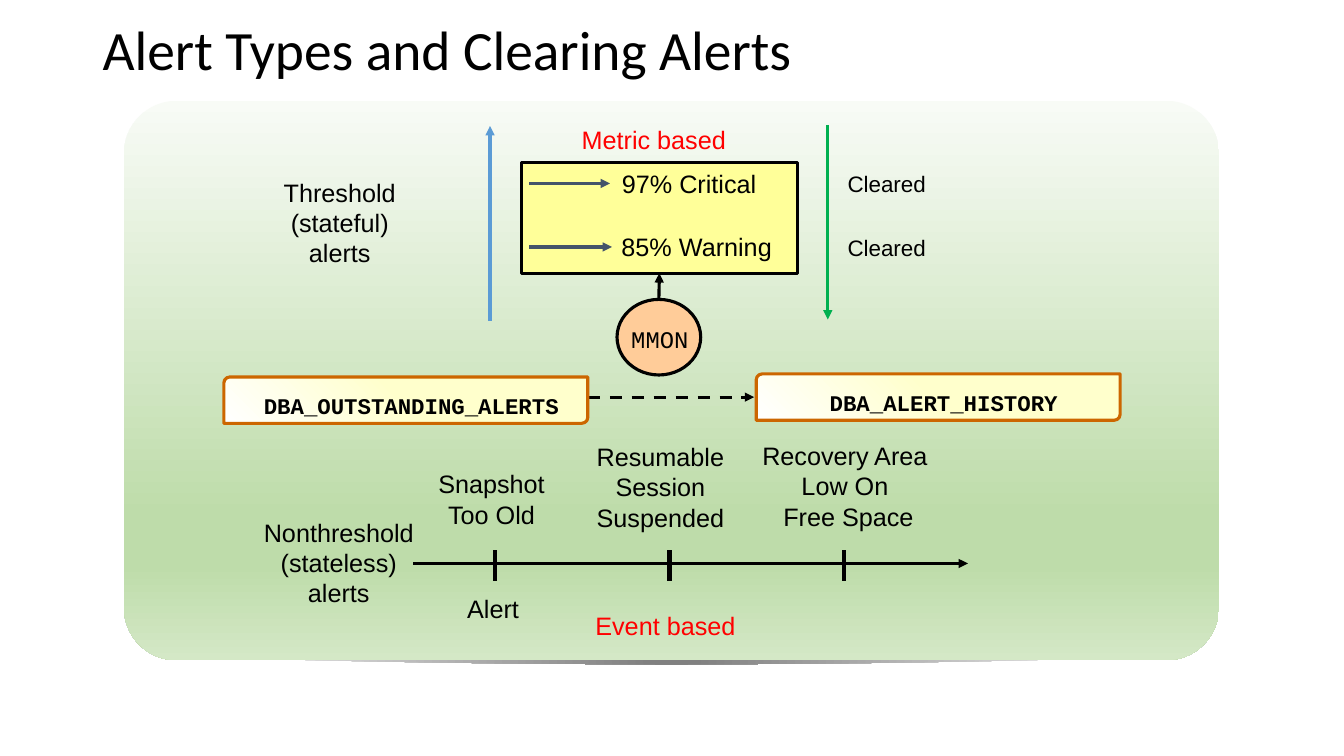
from lxml.etree import SubElement
from pptx import Presentation
from pptx.dml.color import RGBColor
from pptx.enum.dml import MSO_LINE
from pptx.enum.shapes import MSO_CONNECTOR, MSO_SHAPE
from pptx.enum.text import MSO_ANCHOR, PP_ALIGN
from pptx.oxml import parse_xml
from pptx.oxml.ns import nsdecls, qn
from pptx.util import Inches, Pt

BLACK = RGBColor(0x00, 0x00, 0x00)
WHITE = RGBColor(0xFF, 0xFF, 0xFF)
GRAY = RGBColor(0x80, 0x80, 0x80)
RED = RGBColor(0xFF, 0x00, 0x00)
GREEN = RGBColor(0x00, 0xB0, 0x50)
BLUE = RGBColor(0x5B, 0x9B, 0xD5)
SLATE = RGBColor(0x44, 0x54, 0x6A)
YELLOW = RGBColor(0xFF, 0xFF, 0x99)
CREAM = RGBColor(0xFF, 0xFF, 0xCC)
PEACH = RGBColor(0xFF, 0xCC, 0x99)
BROWN = RGBColor(0xCC, 0x66, 0x00)
MINT = RGBColor(0xF8, 0xFB, 0xF6)
LEAF = RGBColor(0xBE, 0xDC, 0xAA)
PALE_LEAF = RGBColor(0xD4, 0xE8, 0xC6)

LINEAR = '<a:lin ang="{}" scaled="0"/>'
CIRCLE = '<a:path path="circle"><a:fillToRect l="50000" t="50000" r="50000" b="50000"/></a:path>'


def write_text(shape, text, size=18, font="Arial", color=BLACK, bold=False,
               align=PP_ALIGN.CENTER, anchor=MSO_ANCHOR.TOP, wrap=True,
               insets=(0.1, 0.05, 0.1, 0.05), line_spacing=None):
    frame = shape.text_frame
    frame.word_wrap = wrap
    frame.vertical_anchor = anchor
    (frame.margin_left, frame.margin_top,
     frame.margin_right, frame.margin_bottom) = map(Inches, insets)
    paragraph = frame.paragraphs[0]
    paragraph.text = text
    paragraph.alignment = align
    paragraph.line_spacing = line_spacing
    for run in paragraph.runs:
        run.font.size = Pt(size)
        run.font.name = font
        run.font.bold = bold
        run.font.color.rgb = color


class AlertSlide:
    def __init__(self, slide, line_width=2.25):
        self.slide = slide
        self.shapes = slide.shapes
        self.line_width = line_width

    def finish(self, shape, fill=None, stops=None, direction=None, line=None):
        """Fill with one colour or with gradient stops, and set the outline."""
        shape.shadow.inherit = False
        if stops:
            marks = "".join(
                f'<a:gs pos="{position * 1000}"><a:srgbClr val="{color}"/></a:gs>'
                for position, color in stops)
            shape.fill.background()
            plain = shape._element.spPr.find(qn("a:noFill"))
            gradient = parse_xml(f'<a:gradFill {nsdecls("a")} rotWithShape="1">'
                                 f'<a:gsLst>{marks}</a:gsLst>{direction}</a:gradFill>')
            plain.getparent().replace(plain, gradient)
        else:
            shape.fill.solid()
            shape.fill.fore_color.rgb = fill
        if line is None:
            shape.line.fill.background()
        else:
            shape.line.color.rgb = line
            shape.line.width = Pt(self.line_width)
        return shape

    def shape(self, kind, box, adjustments=(), **style):
        shape = self.shapes.add_shape(kind, *map(Inches, box))
        for index, value in enumerate(adjustments):
            shape.adjustments[index] = value
        return self.finish(shape, **style)

    def outline(self, points, **style):
        corners = [(Inches(x), Inches(y)) for x, y in points]
        builder = self.shapes.build_freeform(*corners[0])
        builder.add_line_segments(corners[1:], close=True)
        return self.finish(builder.convert_to_shape(), **style)

    def text(self, box, text, **style):
        write_text(self.shapes.add_textbox(*map(Inches, box)), text, **style)

    def line(self, start, end, color=BLACK, width=None, arrow=True, dashed=False):
        connector = self.shapes.add_connector(
            MSO_CONNECTOR.STRAIGHT, *map(Inches, (*start, *end)))
        connector.line.color.rgb = color
        connector.line.width = Pt(width or self.line_width)
        if dashed:
            connector.line.dash_style = MSO_LINE.DASH
        if arrow:
            SubElement(connector.line._get_or_add_ln(), qn("a:tailEnd"), type="triangle")
        SubElement(connector._element.spPr, qn("a:effectLst"))
        return connector

    def view_box(self, left, top, name):
        shape = self.shape(MSO_SHAPE.ROUND_2_DIAG_RECTANGLE, (left, top, 3.61, 0.46),
                           (0.13, 0), stops=[(0, CREAM), (50, CREAM), (100, WHITE)],
                           direction=LINEAR.format(135 * 60000), line=BROWN)
        write_text(shape, name, size=16, font="Courier New", bold=True,
                   anchor=MSO_ANCHOR.MIDDLE, wrap=False, insets=(0.13, 0.13, 0.02, 0.02))


def main():
    presentation = Presentation()
    presentation.slide_width = Inches(13.33)
    presentation.slide_height = Inches(7.5)
    page = AlertSlide(presentation.slides.add_slide(presentation.slide_layouts[6]))

    # Panel with its curved shade below
    steps = [index / 10 for index in range(10, -11, -1)]
    curve = [(6.66 + 5 * step, 6.59 - 0.08 * step ** 2) for step in steps]
    page.outline([(1.49, 6.5), (11.84, 6.5), *curve],
                 stops=[(4, GRAY), (100, WHITE)], direction=CIRCLE)
    page.shape(MSO_SHAPE.ROUNDED_RECTANGLE, (1.23, 1, 10.86, 5.55), (0.094,),
               stops=[(0, MINT), (74, LEAF), (83, LEAF), (100, PALE_LEAF)],
               direction=LINEAR.format(90 * 60000))

    # Title
    page.text((0.92, 0.22, 11.5, 0.6), "Alert Types and Clearing Alerts", size=39.6,
              font="Calibri", align=PP_ALIGN.LEFT, anchor=MSO_ANCHOR.MIDDLE,
              insets=(0.1, 0, 0.1, 0), line_spacing=0.9)

    # Metric thresholds and the process that checks them
    metric = page.shape(MSO_SHAPE.RECTANGLE, (5.17, 1.61, 2.74, 1.1),
                        fill=YELLOW, line=BLACK)
    process = page.shape(MSO_SHAPE.OVAL, (6.12, 2.97, 0.83, 0.75), fill=PEACH, line=BLACK)
    page.text((6.16, 3.17, 0.77, 0.38), "MMON", size=17, font="Courier New", wrap=False)
    check = page.line((6.54, 2.97), (6.54, 2.71))
    check.begin_connect(process, 0)
    check.end_connect(metric, 2)
    levels = [("97% Critical", 1.62, 5.96, 1.75, 6.05),
              ("85% Warning", 2.25, 5.91, 2, 6.07)]
    for label, top, left, width, tip in levels:
        page.line((5.25, top + 0.2), (tip, top + 0.2), SLATE)
        page.text((left, top, width, 0.39), label)
        page.text((8.26, top + 0.02, 1.07, 0.36), "Cleared", size=16)
    page.line((4.86, 3.18), (4.86, 1.25), BLUE)
    page.line((8.21, 1.24), (8.21, 3.17), GREEN)

    # Captions
    page.text((5.66, 1.18, 1.65, 0.4), "Metric based", color=RED, wrap=False)
    page.text((5.8, 6.01, 1.6, 0.4), "Event based", color=RED, wrap=False)
    page.text((2.71, 1.71, 1.32, 1.01), "Threshold\n(stateful)\nalerts", wrap=False)
    page.text((2.32, 5.08, 2.08, 1), "Nonthreshold (stateless)\nalerts")

    # Event timeline
    page.line((4.1, 5.59), (9.6, 5.59))
    events = [("Snapshot\nToo Old", (4.24, 4.6, 1.27, 0.71)),
              ("Resumable\nSession\nSuspended", (5.81, 4.33, 1.48, 1.01)),
              ("Recovery Area \nLow On \nFree Space", (7.45, 4.32, 1.93, 1.01))]
    for index, (label, box) in enumerate(events):
        x = 4.91 + 1.73 * index
        page.line((x, 5.46), (x, 5.76), width=3, arrow=False)
        page.text(box, label, wrap=False)
    page.text((4.48, 5.84, 0.82, 0.39), "Alert", wrap=False)

    # Views that list the alerts
    page.line((5.83, 3.94), (7.48, 3.94), dashed=True)
    page.view_box(2.22, 3.74, "DBA_OUTSTANDING_ALERTS")
    page.view_box(7.5, 3.71, "DBA_ALERT_HISTORY")

    presentation.save("out.pptx")


if __name__ == "__main__":
    main()
